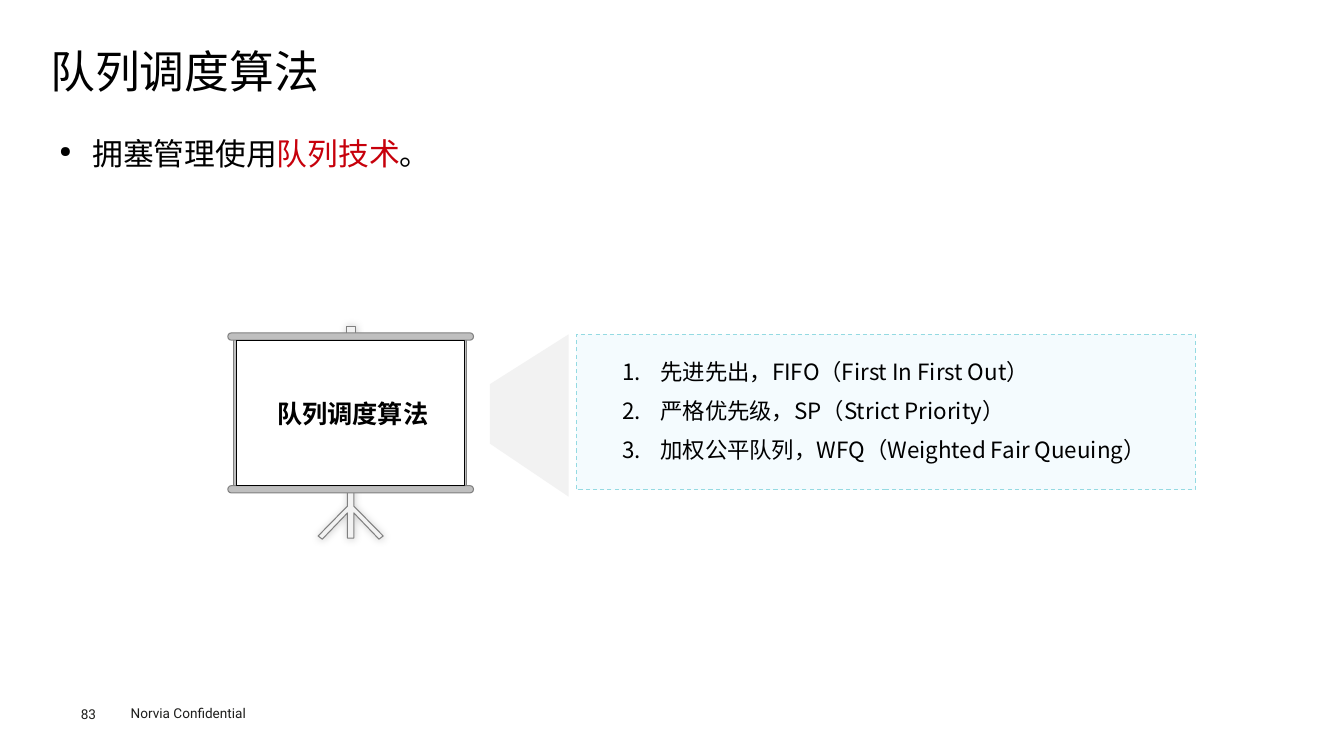
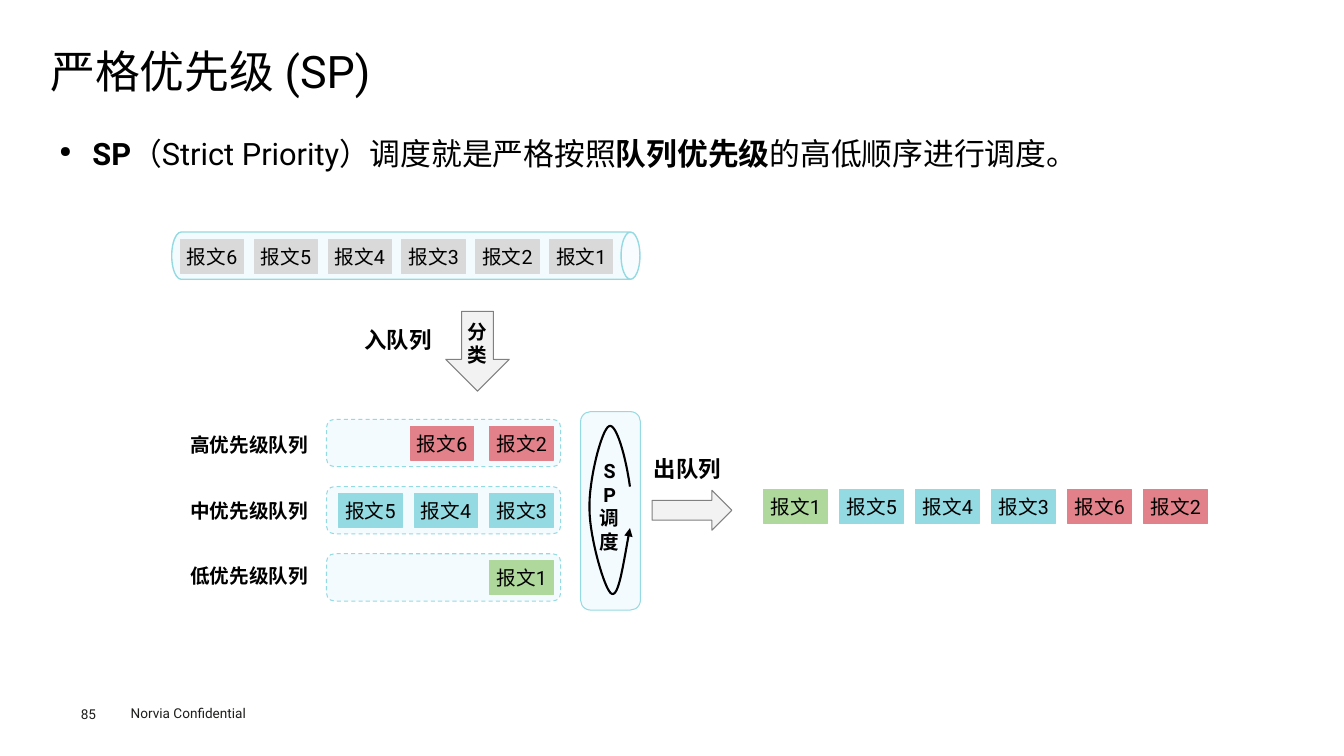
from lxml.etree import SubElement
from pptx import Presentation
from pptx.dml.color import RGBColor
from pptx.enum.dml import MSO_LINE
from pptx.enum.shapes import MSO_SHAPE as Shape
from pptx.enum.text import MSO_ANCHOR as Anchor, PP_ALIGN as Align
from pptx.oxml.ns import qn
from pptx.util import Emu, Pt

# Square grid: 128 columns by 72 rows
COLS, ROWS, CELL = 128, 72, 95250

LATIN, CJK = "Roboto", "Noto Sans CJK SC"
BLACK = RGBColor(0x00, 0x00, 0x00)
WHITE = RGBColor(0xFF, 0xFF, 0xFF)
INK = RGBColor(0x1D, 0x1D, 0x1B)
CRIMSON = RGBColor(0xC7, 0x00, 0x0B)
ICE = RGBColor(0xF4, 0xFB, 0xFE)
CYAN = RGBColor(0x94, 0xDA, 0xE2)
ROSE = RGBColor(0xE2, 0x81, 0x89)
GREEN = RGBColor(0xAF, 0xD8, 0x9C)
SILVER = RGBColor(0xD9, 0xD9, 0xD9)
PALE = RGBColor(0xF2, 0xF2, 0xF2)
STEEL = RGBColor(0xBF, 0xBF, 0xBF)
GREY = RGBColor(0x80, 0x80, 0x80)

PACKET_W, PACKET_H, PACKET_PITCH = 6.05, 3.2, 7.24
TEXT_INSETS = (0.96, 0.48)
NO_INSETS = (0, 0)


def cells(*lengths):
    return [Emu(round(length * CELL)) for length in lengths]


# Text
def write(shape, paragraphs, size, font=LATIN, bold=False, color=BLACK,
          align=Align.LEFT, anchor=Anchor.TOP, insets=TEXT_INSETS,
          spacing=None, gap=0, bullet=None):
    """Each paragraph is a list of (text, changes) runs."""
    frame = shape.text_frame
    frame.word_wrap = True
    frame.vertical_anchor = anchor
    frame.margin_left, frame.margin_top = cells(*insets)
    frame.margin_right, frame.margin_bottom = cells(*insets)
    for index, runs in enumerate(paragraphs):
        paragraph = frame.add_paragraph() if index else frame.paragraphs[0]
        if bullet:
            bullet(paragraph)
        paragraph.alignment = align
        if spacing:
            paragraph.line_spacing = spacing
        if gap:
            paragraph.space_after = Pt(gap)
            if index:
                paragraph.space_before = Pt(gap)
        for words, changes in runs:
            run = paragraph.add_run()
            run.text = words
            run.font.size = Pt(size)
            run.font.bold = changes.get("bold", bold)
            run.font.color.rgb = changes.get("color", color)
            run.font.name = font
            SubElement(run.font._element, qn("a:ea"), typeface=CJK)


def plain(*lines):
    return [[(line, {})] for line in lines]


def text(slide, box, paragraphs, size, **style):
    write(slide.shapes.add_textbox(*cells(*box)), paragraphs, size, **style)


def caption(slide, box, lines, size, **style):
    text(slide, box, plain(*lines), size, bold=True, align=Align.CENTER,
         anchor=Anchor.MIDDLE, **style)


def hang(paragraph, columns):
    properties = paragraph._p.get_or_add_pPr()
    indent = cells(columns)[0]
    properties.set("marL", str(indent))
    properties.set("indent", str(-indent))
    return properties


def dot_bullet(paragraph):
    properties = hang(paragraph, 3.15)
    SubElement(properties, qn("a:buSzPct"), val="50000")
    SubElement(properties, qn("a:buChar"), char="●")


def numbered(paragraph):
    SubElement(hang(paragraph, 3.6), qn("a:buAutoNum"), type="arabicPeriod")


# Shapes
def paint(shape, fill=None, line=None, weight=0.75, dashed=False):
    shape.shadow.inherit = False
    if fill is None:
        shape.fill.background()
    else:
        shape.fill.solid()
        shape.fill.fore_color.rgb = fill
    if line is None:
        shape.line.fill.background()
    else:
        shape.line.color.rgb = line
        shape.line.width = Pt(weight)
        if dashed:
            shape.line.dash_style = MSO_LINE.DASH
    return shape


def block(slide, kind, box, fill, line, **stroke):
    return paint(slide.shapes.add_shape(kind, *cells(*box)), fill, line, **stroke)


def outline(slide, contours, closed=True, **look):
    builder = None
    for first, *rest in contours:
        if builder is None:
            builder = slide.shapes.build_freeform(*cells(*first), scale=1.0)
        else:
            builder.move_to(*cells(*first))
        builder.add_line_segments([cells(*point) for point in rest], close=closed)
    return paint(builder.convert_to_shape(), **look)


def curve(start, pieces, steps=16):
    """Points along joined cubic curves."""
    points = [start]
    for a, b, end in pieces:
        for step in range(1, steps + 1):
            t = step / steps
            u = 1 - t
            weights = (u ** 3, 3 * u * u * t, 3 * u * t * t, t ** 3)
            points.append(tuple(
                sum(w * p[axis] for w, p in zip(weights, (start, a, b, end)))
                for axis in (0, 1)))
        start = end
    return points


def soft_shadow(shape):
    effects = shape._element.spPr.find(qn("a:effectLst"))
    shadow = SubElement(effects, qn("a:outerShdw"), blurRad=str(Pt(6)),
                        dist="0", dir="13500000", rotWithShape="0")
    shade = SubElement(shadow, qn("a:srgbClr"), val=str(BLACK))
    SubElement(shade, qn("a:alpha"), val="20000")


def packet(slide, left, top, number, tint):
    card = block(slide, Shape.RECTANGLE, (left, top, PACKET_W, PACKET_H), tint, tint)
    write(card, plain(f"报文{number}"), 14, align=Align.CENTER,
          anchor=Anchor.MIDDLE, insets=(0.57, 0))


# Title, statement and footer shared by both slides
def start_slide(deck, number, title, statement):
    slide = deck.slides.add_slide(deck.slide_layouts[6])
    text(slide, (11.5, 66.7, 15.4, 2.6), plain("Norvia Confidential"), 9.7, color=INK)
    text(slide, (7.7, 67.2, 5.3, 1.5), plain(str(number)), 9.7, color=INK,
         insets=NO_INSETS)
    text(slide, (4.8, 4.7, 118.2, 5.1), plain(title), 32, insets=NO_INSETS,
         spacing=0.9)
    text(slide, (4.8, 11.05, 118.2, 51.3), [statement], 22, insets=(0.86, 0.38),
         spacing=1.4, bullet=dot_bullet)
    return slide


def projector_screen(slide):
    axis = 33.4
    peg = [(33, 31.1), (33.9, 31.1), (33.9, 32.25), (33, 32.25)]
    right_leg = [(0.3, 45.2), (0.3, 48.2), (3.1, 51.05), (2.7, 51.35),
                 (0.3, 48.85), (0.3, 51.25)]
    tripod = ([(axis + x, y) for x, y in right_leg]
              + [(axis - x, y) for x, y in reversed(right_leg)])
    soft_shadow(outline(slide, [peg, tripod], fill=PALE, line=GREY))
    block(slide, Shape.RECTANGLE, (22.25, 32, 22.2, 14.6), STEEL, GREY)
    for top in (31.7, 46.25):
        rail = block(slide, Shape.ROUNDED_RECTANGLE, (21.7, top, 23.4, 0.7), STEEL, GREY)
        rail.adjustments[0] = 0.5
    block(slide, Shape.RECTANGLE, (22.55, 32.4, 21.7, 13.85), WHITE, BLACK)
    caption(slide, (25.15, 37.6, 16.9, 3.45), ["队列调度算法"], 18, font=CJK)


def algorithms_slide(deck):
    slide = start_slide(deck, 83, "队列调度算法", [
        ("拥塞管理使用", {}), ("队列技术", {"color": CRIMSON}), ("。", {})])
    block(slide, Shape.RECTANGLE, (54.9, 31.85, 58.95, 14.8), ICE, CYAN, dashed=True)
    text(slide, (58.35, 32.95, 52.5, 11.7),
         plain("先进先出，FIFO（First In First Out）",
               "严格优先级，SP（Strict Priority）",
               "加权公平队列，WFQ（Weighted Fair Queuing）"),
         16, font=CJK, anchor=Anchor.MIDDLE, spacing=1.25, gap=2, bullet=numbered)
    beam = [(54.15, 47.3), (46.65, 42.25), (46.65, 36.6), (54.15, 31.85)]
    outline(slide, [beam], fill=PALE)
    projector_screen(slide)


def scheduler(slide):
    block(slide, Shape.ROUNDED_RECTANGLE, (55.3, 39.2, 5.7, 18.9), ICE, CYAN)
    caption(slide, (56.05, 44.35, 4.05, 7.7), ["SP", "调", "度"], 14)
    loop = curve((60, 46.35), [
        ((59.6, 43.4), (58.65, 40.2), (58, 40.6)),
        ((57.3, 40.9), (56.05, 45.8), (56.15, 48.5)),
        ((56.15, 51.15), (57.6, 56.25), (58.25, 56.55)),
        ((58.95, 56.9), (59.35, 53.75), (60, 50.3))])
    cycle = outline(slide, [loop], closed=False, line=BLACK, weight=1.5)
    SubElement(cycle.line._get_or_add_ln(), qn("a:tailEnd"), type="triangle")


def strict_priority_slide(deck):
    slide = start_slide(deck, 85, "严格优先级 (SP)", [
        ("SP", {"bold": True}), ("（Strict Priority）调度就是严格按照", {}),
        ("队列优先级", {"bold": True}), ("的高低顺序进行调度。", {})])

    # Incoming packets in the pipe
    pipe = block(slide, Shape.CAN, (36.4, 2.05, 4.5, 44.6), ICE, CYAN, weight=1)
    pipe.rotation = 90
    pipe.adjustments[0] = 0.4
    for slot, number in enumerate(range(6, 0, -1)):
        packet(slide, 17.18 + slot * 7.03, 22.85, number, SILVER)

    # Classification
    block(slide, Shape.DOWN_ARROW, (42.45, 29.65, 6.05, 7.6), PALE, GREY)
    caption(slide, (43.4, 29.65, 4.15, 6.05), ["分", "类"], 14)
    caption(slide, (33.4, 30.8, 9, 3.05), ["入队列"], 16)

    # Priority queues, packets listed from the exit backwards
    queues = [("高优先级队列", ROSE, (2, 6), 7.58),
              ("中优先级队列", CYAN, (3, 4, 5), 7.2),
              ("低优先级队列", GREEN, (1,), 7.2)]
    for row, (name, tint, numbers, pitch) in enumerate(queues):
        top = 39.94 + row * 6.4
        caption(slide, (16.8, 41 + row * 6.24, 13.9, 2.7), [name], 14)
        block(slide, Shape.ROUNDED_RECTANGLE, (31.1, top, 22.3, 4.5), ICE, CYAN,
              dashed=True)
        for slot, number in enumerate(numbers):
            packet(slide, 46.66 - slot * pitch, top + 0.67, number, tint)

    # Scheduling and outgoing packets
    scheduler(slide)
    block(slide, Shape.RIGHT_ARROW, (62.1, 46.7, 7.6, 3.8), PALE, GREY)
    caption(slide, (60.95, 43.1, 9, 3.05), ["出队列"], 16)
    tints = {number: tint for _, tint, numbers, _ in queues for number in numbers}
    for slot, number in enumerate((1, 5, 4, 3, 6, 2)):
        packet(slide, 72.75 + slot * PACKET_PITCH, 46.65, number, tints[number])


def main():
    deck = Presentation()
    deck.slide_width, deck.slide_height = cells(COLS, ROWS)
    algorithms_slide(deck)
    strict_priority_slide(deck)
    deck.save("out.pptx")


if __name__ == "__main__":
    main()
